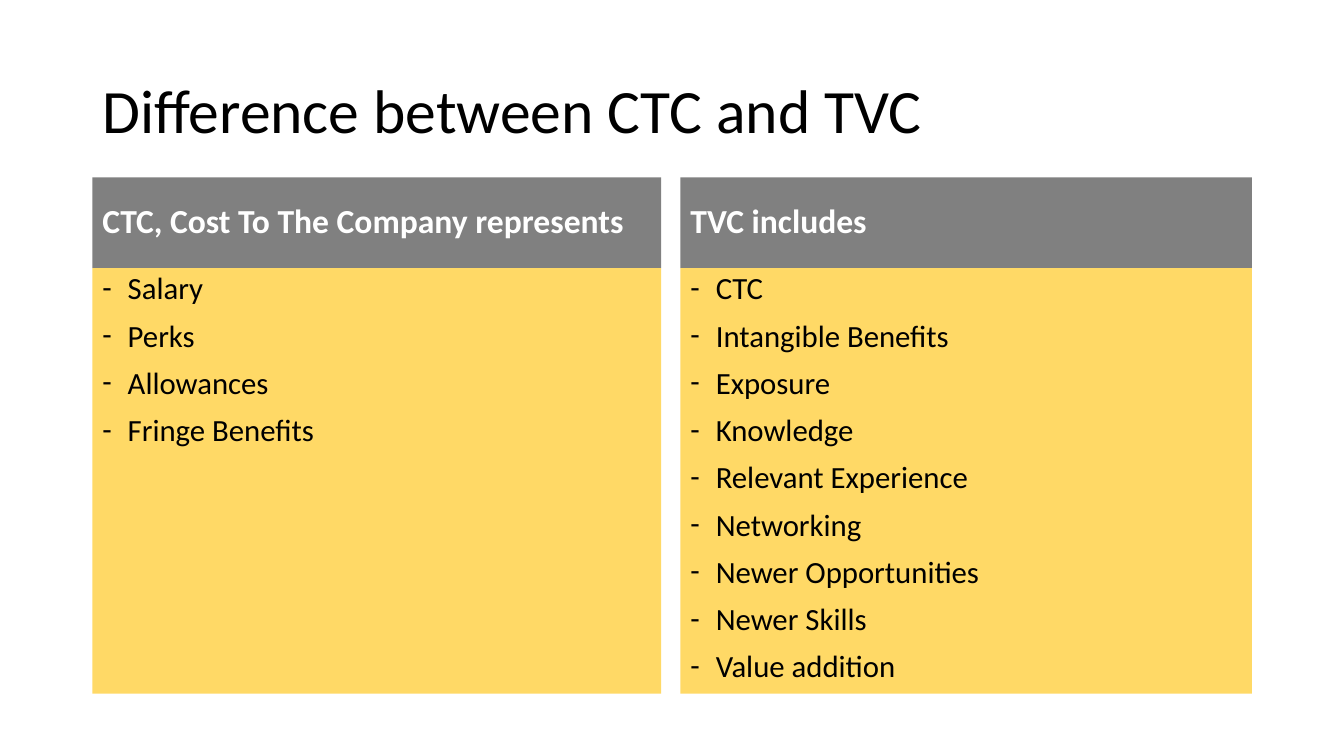
from lxml import etree
from pptx import Presentation
from pptx.dml.color import RGBColor
from pptx.enum import shapes, text
from pptx.oxml import ns
from pptx.util import Cm, Pt

# Content
TITLE = "Difference between CTC and TVC"
COLUMNS = [
    {"left": 2.33, "width": 14.33,
     "heading": "CTC, Cost To The Company represents",
     "items": ["Salary", "Perks", "Allowances", "Fringe Benefits"]},
    {"left": 17.15, "width": 14.4,
     "heading": "TVC includes",
     "items": ["CTC", "Intangible Benefits", "Exposure", "Knowledge",
               "Relevant Experience", "Networking", "Newer Opportunities",
               "Newer Skills", "Value addition"]},
]

# Layout in centimetres
TITLE_BOX = (2.33, 1.02, 29.21, 3.68)
HEAD_TOP, HEAD_HEIGHT, LIST_HEIGHT = 4.47, 2.29, 10.72
INDENT = Cm(0.64)


def rgb(value):
    return RGBColor.from_string(value)


def add_dash(p):
    pPr = p._p.get_or_add_pPr()
    pPr.set("marL", str(INDENT))
    pPr.set("indent", str(-INDENT))
    etree.SubElement(pPr, ns.qn("a:buFont"), typeface="Calibri")
    etree.SubElement(pPr, ns.qn("a:buChar"), char="-")


def write(s, lines, size, color="000000", bold=False, before=10,
          anchor=text.MSO_ANCHOR.MIDDLE, dash=False):
    tf = s.text_frame
    tf.word_wrap = True
    tf.vertical_anchor = anchor
    for i, line in enumerate(lines):
        p = tf.add_paragraph() if i else tf.paragraphs[0]
        p.alignment = text.PP_ALIGN.LEFT
        p.line_spacing = 0.9
        p.space_before = Pt(before)
        if dash:
            add_dash(p)
        r = p.add_run()
        r.text = line
        r.font.name = "Calibri"
        r.font.size = Pt(size)
        r.font.bold = bold
        r.font.color.rgb = rgb(color)


def add_panel(left, top, width, height, fill):
    s = sp.add_shape(shapes.MSO_SHAPE.RECTANGLE,
                     Cm(left), Cm(top), Cm(width), Cm(height))
    s.shadow.inherit = False
    s.fill.solid()
    s.fill.fore_color.rgb = rgb(fill)
    s.line.fill.background()
    return s


prs = Presentation()
prs.slide_width, prs.slide_height = Cm(33.87), Cm(19.05)
sp = prs.slides.add_slide(prs.slide_layouts[6]).shapes

# Title
write(sp.add_textbox(*map(Cm, TITLE_BOX)), [TITLE], 44, before=0)

# Two columns, each a heading above a list
for col in COLUMNS:
    left, width = col["left"], col["width"]
    head = add_panel(left, HEAD_TOP, width, HEAD_HEIGHT, "808080")
    write(head, [col["heading"]], 24, color="FFFFFF", bold=True)
    body = add_panel(left, HEAD_TOP + HEAD_HEIGHT, width, LIST_HEIGHT, "FFD966")
    write(body, col["items"], 22, anchor=text.MSO_ANCHOR.TOP, dash=True)

prs.save("out.pptx")
